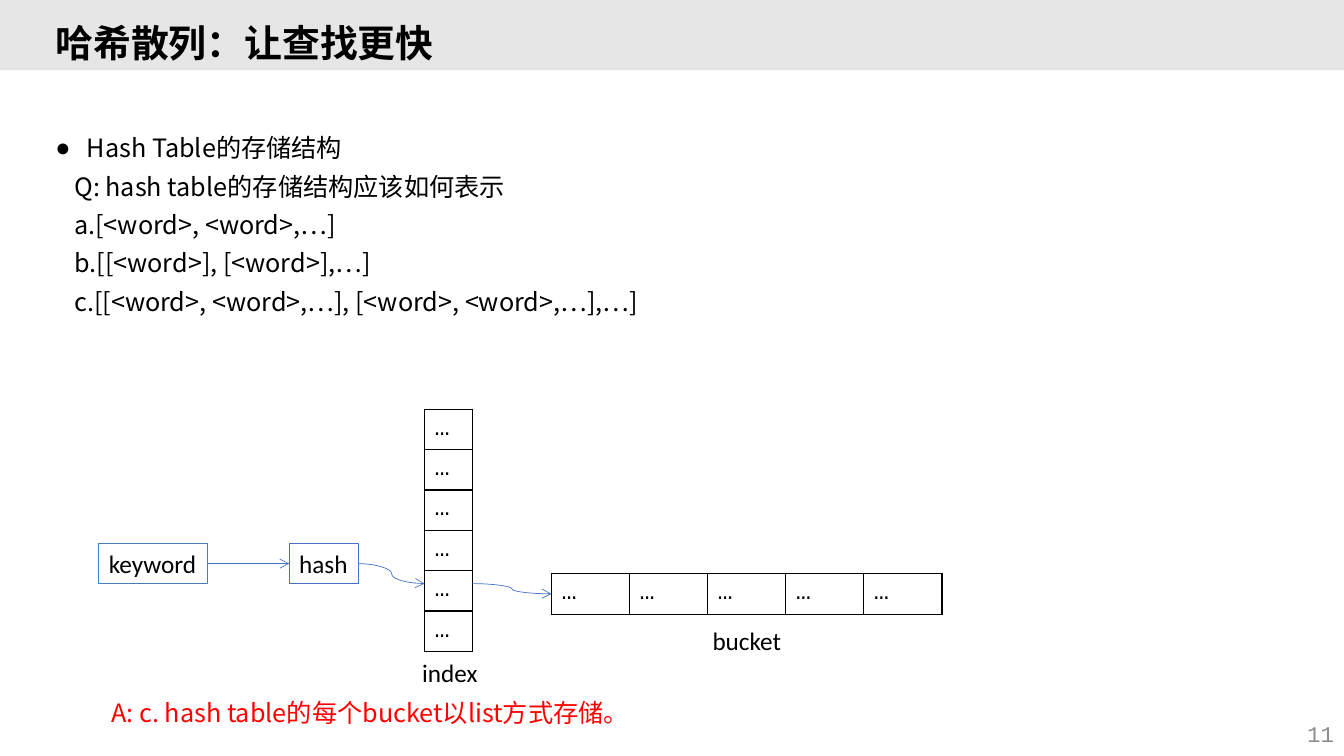
from collections import namedtuple

from lxml import etree
from pptx import Presentation
from pptx import util as u
from pptx.dml.color import RGBColor
from pptx.enum import shapes, text
from pptx.oxml import ns

COLORS = {
    "band": "E7E6E6", "ink": "000000", "number": "8C8C8C", "answer": "FF0000",
    "link": "4472C4", "keyword": "4A7EBB",
}
CODE, SANS, LABEL = "Courier New", "Noto Sans CJK SC", "Calibri"
Box = namedtuple("Box", "left top width height")


def points(*values):
    return [u.Pt(value) for value in values]


def rgb(name):
    return RGBColor.from_string(COLORS[name])


def add_xml(parent, tag, **attributes):
    return etree.SubElement(parent, ns.qn(tag), attributes)


def write(para, words, font, size=18, color="ink", bold=False):
    span = para.add_run()
    span.text = words
    span.font.name, span.font.size, span.font.bold = font, u.Pt(size), bold
    span.font.color.rgb = rgb(color)
    add_xml(span.font._element, "a:ea", typeface=SANS)


def indent(para, margin, first=0):
    properties = para._p.get_or_add_pPr()
    properties.set("marL", str(u.Pt(margin)))
    properties.set("indent", str(u.Pt(first)))
    return properties


def place(shape, box):
    shape.left, shape.top, shape.width, shape.height = points(*box)
    return shape.text_frame


def add_label(page, box, words, font=LABEL, size=18, color="ink"):
    frame = page.shapes.add_textbox(*points(*box)).text_frame
    frame.word_wrap = False
    para = frame.paragraphs[0]
    write(para, words, font, size, color)
    return para


def add_node(page, box, words, color):
    node = page.shapes.add_shape(shapes.MSO_SHAPE.RECTANGLE, *points(*box))
    node.shadow.inherit = False
    node.fill.background()
    node.line.color.rgb, node.line.width = rgb(color), u.Pt(0.75)
    node.text_frame.word_wrap = False
    para = node.text_frame.paragraphs[0]
    para.alignment = text.PP_ALIGN.LEFT
    write(para, words, LABEL)
    return node


def add_arrow(page, kind, start, end):
    arrow = page.shapes.add_connector(kind, *points(*start, *end))
    arrow.line.color.rgb, arrow.line.width = rgb("link"), u.Pt(0.5)
    add_xml(arrow.line._get_or_add_ln(), "a:tailEnd", type="arrow")
    add_xml(arrow._element.spPr, "a:effectLst")
    return arrow


def add_cells(page, box, rows, columns):
    table = page.shapes.add_table(rows, columns, *points(*box)).table
    table.first_row = table.horz_banding = False
    for row in table.rows:
        row.height = u.Pt(box.height / rows)
    for column in table.columns:
        column.width = u.Pt(box.width / columns)
    for cell in table.iter_cells():
        write(cell.text_frame.paragraphs[0], "…", CODE)
        properties = cell._tc.get_or_add_tcPr()
        for side in ("a:lnL", "a:lnR", "a:lnT", "a:lnB"):
            border = add_xml(properties, side, w=str(u.Pt(1)))
            add_xml(add_xml(border, "a:solidFill"), "a:srgbClr", val=COLORS["ink"])
        cell.fill.background()


def build_header(page, box):
    # Grey band behind the title
    band = page.shapes.add_shape(shapes.MSO_SHAPE.RECTANGLE, *points(*box))
    band.shadow.inherit = False
    band.fill.solid()
    band.fill.fore_color.rgb = rgb("band")
    band.line.fill.background()
    page.shapes._spTree.insert(2, band._element)
    # Title
    frame = place(page.shapes.title, Box(box.left + 32.4, box.top + 8, 900.7, 49))
    frame.vertical_anchor = text.MSO_ANCHOR.MIDDLE
    frame.auto_size = text.MSO_AUTO_SIZE.NONE
    para = frame.paragraphs[0]
    para.alignment, para.line_spacing = text.PP_ALIGN.LEFT, 0.9
    write(para, "哈希散列：让查找更快", CODE, 27, bold=True)


def build_question(page, box):
    frame = place(page.placeholders[1], box)
    frame.auto_size = text.MSO_AUTO_SIZE.NONE
    frame.margin_top = u.Pt(37.3)
    lines = [
        ("dot", "Hash Table的存储结构"),
        ("plain", "Q: hash table的存储结构应该如何表示"),
        ("letter", "[<word>, <word>,…]"),
        ("letter", "[[<word>], [<word>],…]"),
        ("letter", "[[<word>, <word>,…], [<word>, <word>,…],…]"),
    ]
    for number, (bullet, words) in enumerate(lines):
        para = frame.add_paragraph() if number else frame.paragraphs[0]
        para.line_spacing = 0.9
        para.space_before = u.Pt(8 if number else 0)
        if bullet == "dot":
            add_xml(indent(para, 22.5, -22.5), "a:buChar", char="●")
        else:
            para.level = 1
            properties = indent(para, 13.5)
            if bullet == "plain":
                add_xml(properties, "a:buNone")
            else:
                add_xml(properties, "a:buAutoNum", type="alphaLcPeriod")
        write(para, words, SANS)


def build_diagram(page, box):
    def at(left, top, width, height):
        return Box(box.left + left, box.top + top, width, height)

    # Keyword and hash function
    keyword = add_node(page, at(0, 95.8, 77.8, 29), "keyword", "keyword")
    hashing = add_node(page, at(136, 95.8, 49.7, 29), "hash", "link")
    # Index column and one bucket row
    index = at(232.6, 0, 34.2, 173)
    bucket = at(323.3, 117.2, 279, 29.4)
    add_cells(page, index, 6, 1)
    add_cells(page, bucket, 1, 5)
    add_label(page, at(431.3, 150.5, 64, 29), "bucket")
    add_label(page, at(223.9, 173.5, 54.7, 29), "index")
    # Arrows from keyword to bucket
    middle = box.top + 110.3
    slot = index.top + index.height * 4.5 / 6 - 5.2
    straight, curve = shapes.MSO_CONNECTOR.STRAIGHT, shapes.MSO_CONNECTOR.CURVE
    link = add_arrow(page, straight, (box.left + 77.8, middle), (box.left + 136, middle))
    link.begin_connect(keyword, 3)
    link.end_connect(hashing, 1)
    link = add_arrow(page, curve, (box.left + 185.7, middle), (index.left, slot))
    link.begin_connect(hashing, 3)
    add_arrow(page, curve, (index.left + index.width, slot),
              (bucket.left, bucket.top + bucket.height / 2))


def build_footer(page, box):
    # Answer
    para = add_label(page, Box(box.left + 59, box.top, 402.5, 29),
                     "A: c. hash table的每个bucket以list方式存储。", SANS, color="answer")
    indent(para, 13.5)
    # Page number
    para = add_label(page, Box(box.left + box.width - 216, box.top + 16.5, 216, 29),
                     "11", CODE, 16, "number")
    para.alignment = text.PP_ALIGN.RIGHT


def main():
    deck = Presentation()
    deck.slide_width, deck.slide_height = points(960, 540)
    page = deck.slides.add_slide(deck.slide_layouts[1])
    build_header(page, Box(0, 0, 960, 50.2))
    build_question(page, Box(32.4, 59.8, 900.7, 469.4))
    build_diagram(page, Box(70.6, 292.3, 602.3, 202.5))
    build_footer(page, Box(0, 494.6, 960, 45.4))
    deck.save("out.pptx")


if __name__ == "__main__":
    main()
